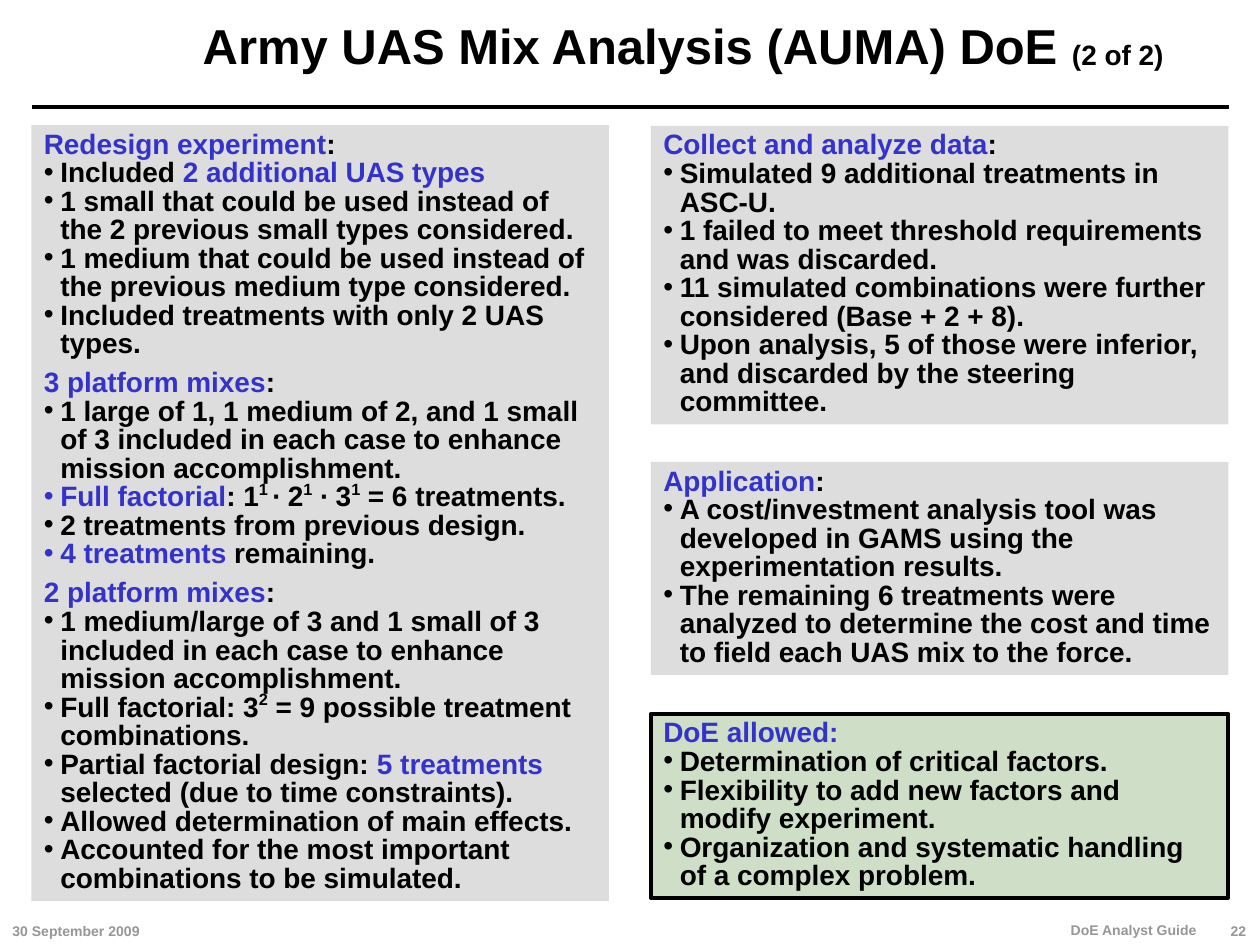
from lxml.etree import SubElement
from pptx import Presentation
from pptx.dml.color import RGBColor
from pptx.enum.shapes import MSO_CONNECTOR, MSO_SHAPE
from pptx.enum.text import MSO_ANCHOR, MSO_AUTO_SIZE, PP_ALIGN
from pptx.oxml.ns import qn
from pptx.util import Pt

BLACK, BLUE, GREY = "000000", "3333CC", "969696"
PANEL, GREEN = "DDDDDD", "CFDEC6"
COL_W, LEFT_X, RIGHT_X = 330, 18, 372
INDENT = 9.4

REDESIGN = [
    ("*Redesign experiment*:", [
        "Included *2 additional UAS types*",
        "1 small that could be used instead of the 2 previous small types considered.",
        "1 medium that could be used instead of the previous medium type considered.",
        "Included treatments with only 2 UAS types.",
    ]),
    ("*3 platform mixes*:", [
        "1 large of 1, 1 medium of 2, and 1 small of 3 included in each case to enhance "
        "mission accomplishment.",
        "*Full factorial*: 1^1 ^∙ 2^1^ ∙ 3^1^ = 6 treatments.",
        "2 treatments from previous design.",
        "*4 treatments* remaining.",
    ]),
    ("*2 platform mixes*:", [
        "1 medium/large of 3 and 1 small of 3 included in each case to enhance "
        "mission accomplishment.",
        "Full factorial: 3^2^ = 9 possible treatment combinations.",
        "Partial factorial design: *5 treatments* selected (due to time constraints).",
        "Allowed determination of main effects.",
        "Accounted for the most important combinations to be simulated.",
    ]),
]
COLLECT = [("*Collect and analyze data*:", [
    "Simulated 9 additional treatments in ASC-U.",
    "1 failed to meet threshold requirements and was discarded.",
    "11 simulated combinations were further considered (Base + 2 + 8).",
    "Upon analysis, 5 of those were inferior, and discarded by the steering committee.",
])]
APPLICATION = [("*Application*:", [
    "A cost/investment analysis tool was developed in GAMS using the experimentation results.",
    "The remaining 6 treatments were analyzed to determine the cost and time to field "
    "each UAS mix to the force.",
])]
ALLOWED = [("*DoE allowed:*", [
    "Determination of critical factors.",
    "Flexibility to add new factors and modify experiment.",
    "Organization and systematic handling of a complex problem.",
])]


def rgb(value):
    """Turn a hex string into a colour."""
    return RGBColor.from_string(value)


class Deck:
    """Hold the text style and the current slide."""

    font = "Arial"
    body = 16

    def __init__(self, prs):
        """Add a title-only slide."""
        self.s = prs.slides.add_slide(prs.slide_layouts[5])

    def style(self, r, size, color):
        """Format one run."""
        r.font.name, r.font.size, r.font.bold = self.font, Pt(size), True
        r.font.color.rgb = rgb(color)

    def title(self, text, x, y, w, h):
        """Place and format the title."""
        sp = self.s.shapes.title
        sp.left, sp.top, sp.width, sp.height = Pt(x), Pt(y), Pt(w), Pt(h)
        tf = sp.text_frame
        tf.text = text
        tf.auto_size, tf.vertical_anchor = MSO_AUTO_SIZE.NONE, MSO_ANCHOR.MIDDLE
        tf.margin_left = tf.margin_right = tf.margin_top = tf.margin_bottom = 0
        p = tf.paragraphs[0]
        p.alignment, p.line_spacing = PP_ALIGN.CENTER, 0.9
        self.style(p.runs[0], 28, BLACK)

    def rule(self, x1, y, x2):
        """Draw a horizontal rule."""
        line = self.s.shapes.add_connector(MSO_CONNECTOR.STRAIGHT, Pt(x1), Pt(y), Pt(x2), Pt(y))
        line.line.color.rgb, line.line.width = rgb(BLACK), Pt(2.5)
        SubElement(line._element.spPr, qn("a:effectLst"))

    def label(self, text, x, y, w, h, size, color, align=PP_ALIGN.LEFT, anchor=MSO_ANCHOR.BOTTOM):
        """Add a one-line text box."""
        tf = self.s.shapes.add_textbox(Pt(x), Pt(y), Pt(w), Pt(h)).text_frame
        tf.text, tf.word_wrap, tf.vertical_anchor = text, False, anchor
        p = tf.paragraphs[0]
        p.alignment = align
        self.style(p.runs[0], size, color)

    def bullet(self, p, color):
        """Give a paragraph a coloured bullet."""
        pPr = p._p.get_or_add_pPr()
        SubElement(SubElement(pPr, qn("a:buClr")), qn("a:srgbClr"), val=color)
        SubElement(pPr, qn("a:buFont"), typeface=self.font)
        SubElement(pPr, qn("a:buChar"), char="•")

    def marked(self, p, text):
        """Write text with *blue* and ^raised^ parts."""
        p.alignment, p.line_spacing = PP_ALIGN.LEFT, 0.85
        pPr = p._p.get_or_add_pPr()
        pPr.set("marL", str(Pt(INDENT)))
        pPr.set("indent", str(-Pt(INDENT)))
        for i, part in enumerate(text.split("*")):
            for j, piece in enumerate(part.split("^")):
                if piece:
                    r = p.add_run()
                    r.text = piece
                    self.style(r, self.body, BLUE if i % 2 else BLACK)
                    if j % 2:
                        r._r.get_or_add_rPr().set("baseline", "40000")

    def panel(self, sections, x, y, h, fill=PANEL, border=None):
        """Add a filled box of headed bullet lists."""
        sp = self.s.shapes.add_shape(MSO_SHAPE.RECTANGLE, Pt(x), Pt(y), Pt(COL_W), Pt(h))
        sp.shadow.inherit = False
        sp.fill.solid()
        sp.fill.fore_color.rgb = rgb(fill)
        if border:
            sp.line.color.rgb, sp.line.width = rgb(border), Pt(2.25)
        else:
            sp.line.fill.background()
        tf = sp.text_frame
        tf.word_wrap, tf.vertical_anchor = True, MSO_ANCHOR.TOP
        tf.auto_size = MSO_AUTO_SIZE.SHAPE_TO_FIT_TEXT
        for n, (heading, items) in enumerate(sections):
            p = tf.add_paragraph() if n else tf.paragraphs[0]
            self.marked(p, heading)
            if n:
                p.space_before = Pt(6)
            for item in items:
                p = tf.add_paragraph()
                self.marked(p, item)
                self.bullet(p, BLUE if item.startswith("*") else BLACK)


def main():
    """Build and save the slide."""
    prs = Presentation()
    prs.slide_width, prs.slide_height = Pt(720), Pt(540)
    deck = Deck(prs)
    deck.rule(LEFT_X, 61.2, RIGHT_X + COL_W)
    deck.label("30 September 2009", 0, 522, 144, 18, 8, GREY)
    deck.label("22", 690.5, 522, 28.8, 18, 8, GREY, PP_ALIGN.RIGHT)
    deck.label("DoE Analyst Guide", 475, 521.6, 216, 18, 8, GREY, PP_ALIGN.RIGHT)
    deck.title("Army UAS Mix Analysis (AUMA) DoE", 18, 0, 684, 56)
    deck.panel(COLLECT, RIGHT_X, 72, 170.6)
    deck.panel(REDESIGN, LEFT_X, 71.5, 443.5)
    deck.panel(APPLICATION, RIGHT_X, 264, 121.7)
    deck.panel(ALLOWED, RIGHT_X, 408, 105.1, GREEN, BLACK)
    deck.label("(2 of 2)", 605.5, 18, 72, 26.6, 16, BLACK, anchor=MSO_ANCHOR.TOP)
    prs.save("out.pptx")


if __name__ == "__main__":
    main()
